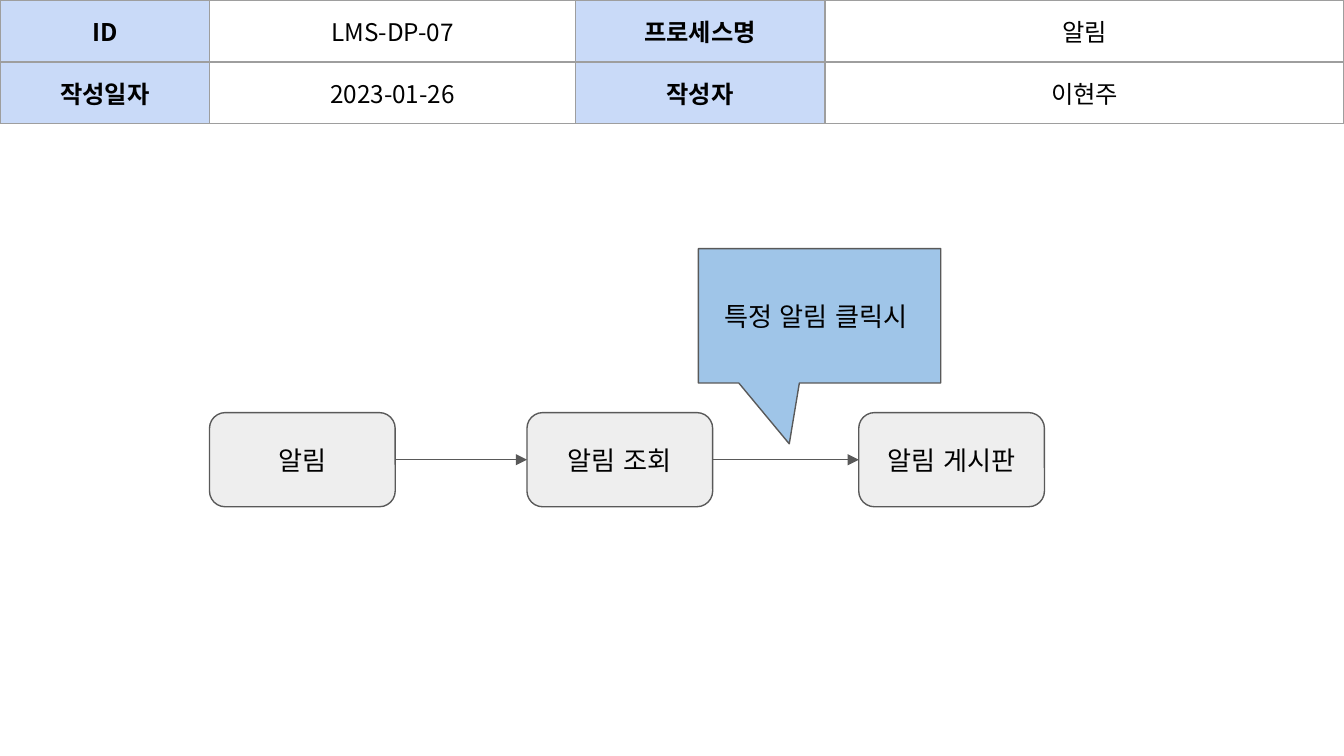
from itertools import pairwise
from pptx import Presentation as Deck
from pptx.dml.color import RGBColor as RGB
from pptx.enum.shapes import MSO_CONNECTOR as Link, MSO_SHAPE as Shape
from pptx.enum.text import MSO_ANCHOR as Anchor, PP_ALIGN as Align
from pptx.oxml.ns import qn
from pptx.util import Cm, Pt
from lxml.etree import SubElement as Sub

BLACK = RGB(0x00, 0x00, 0x00)
GREY = RGB(0xEE, 0xEE, 0xEE)
DARK = RGB(0x59, 0x59, 0x59)
HEAD = RGB(0xC9, 0xDA, 0xF8)
BLUE = RGB(0x9F, 0xC5, 0xE8)
EDGE = RGB(0x9E, 0x9E, 0x9E)
PAD = Cm(0.25)


class Flow:
    """Style and current slide of a process chart."""
    face = "Arial"
    cell_face = "Noto Sans CJK KR"
    size = Pt(14)
    cell_size = Pt(13)
    thin = Pt(0.75)

    def __init__(self, slide):
        self.slide = slide

    def label(self, frame, text, face, size, bold=False):
        frame.text = text
        para = frame.paragraphs[0]
        para.alignment = Align.CENTER
        for run in para.runs:
            font = run.font
            font.name, font.size, font.bold = face, size, bold
            font.color.rgb = BLACK
            Sub(font._element, qn("a:ea"), typeface=face)

    def node(self, kind, text, fill, left, top, width, height, bends):
        box = self.slide.shapes.add_shape(
            kind, Cm(left), Cm(top), Cm(width), Cm(height))
        box.shadow.inherit = False
        box.fill.solid()
        box.fill.fore_color.rgb = fill
        box.line.color.rgb = DARK
        box.line.width = self.thin
        for i, bend in enumerate(bends):
            box.adjustments[i] = bend
        frame = box.text_frame
        frame.word_wrap = True
        frame.vertical_anchor = Anchor.MIDDLE
        frame.margin_left = frame.margin_right = PAD
        frame.margin_top = frame.margin_bottom = PAD
        self.label(frame, text, self.face, self.size)
        return box

    def arrow(self, start, end):
        line = self.slide.shapes.add_connector(Link.STRAIGHT, 0, 0, 0, 0)
        line.begin_connect(start, 3)  # right side
        line.end_connect(end, 1)  # left side
        line.line.color.rgb = DARK
        line.line.width = self.thin
        Sub(line.line._get_or_add_ln(), qn("a:tailEnd"), type="triangle")
        Sub(line._element.spPr, qn("a:effectLst"))

    def border(self, cell):
        props = cell._tc.get_or_add_tcPr()
        for i, side in enumerate(("lnL", "lnR", "lnT", "lnB")):
            line = props.makeelement(qn("a:" + side), {"w": str(self.thin)})
            fill = Sub(line, qn("a:solidFill"))
            Sub(fill, qn("a:srgbClr"), val=str(EDGE))
            props.insert(i, line)

    def table(self, rows, widths, height):
        grid = self.slide.shapes.add_table(
            len(rows), len(widths), 0, 0, Cm(sum(widths)),
            Cm(height * len(rows))).table
        for col, width in zip(grid.columns, widths):
            col.width = Cm(width)
        last = len(widths) - 1
        for r, texts in enumerate(rows):
            grid.rows[r].height = Cm(height)
            for c in range(len(widths)):
                cell = grid.cell(r, c)
                head = c in (0, 2)
                if head:
                    cell.fill.solid()
                    cell.fill.fore_color.rgb = HEAD
                else:
                    cell.fill.background()
                self.border(cell)
                cell.vertical_anchor = Anchor.MIDDLE
                cell.margin_left = cell.margin_right = PAD
                cell.margin_top = cell.margin_bottom = PAD
                if c < len(texts):
                    self.label(cell.text_frame, texts[c], self.cell_face,
                               self.cell_size, head)
            # The last text runs to the right edge
            grid.cell(r, len(texts) - 1).merge(grid.cell(r, last))


deck = Deck()
deck.slide_width, deck.slide_height = Cm(25.4), Cm(14.29)
flow = Flow(deck.slides.add_slide(deck.slide_layouts[6]))

# Header table
flow.table([("ID", "LMS-DP-07", "프로세스명", "알림"),
            ("작성일자", "2023-01-26", "작성자", "이현주")],
           (3.96, 6.91, 4.72, 2.31, 2.84, 4.66), 1.17)

# Steps and the arrows between them
steps = [flow.node(Shape.ROUNDED_RECTANGLE, text, GREY,
                   left, 7.8, 3.51, 1.78, [0.167])
         for text, left in (("알림", 3.96), ("알림 조회", 9.96),
                            ("알림 게시판", 16.23))]
for start, end in pairwise(steps):
    flow.arrow(start, end)

# Callout for the click
flow.node(Shape.RECTANGULAR_CALLOUT, "특정 알림 클릭시 ", BLUE,
          13.2, 4.7, 4.58, 2.54, [-0.125, 0.953])

deck.save("out.pptx")
